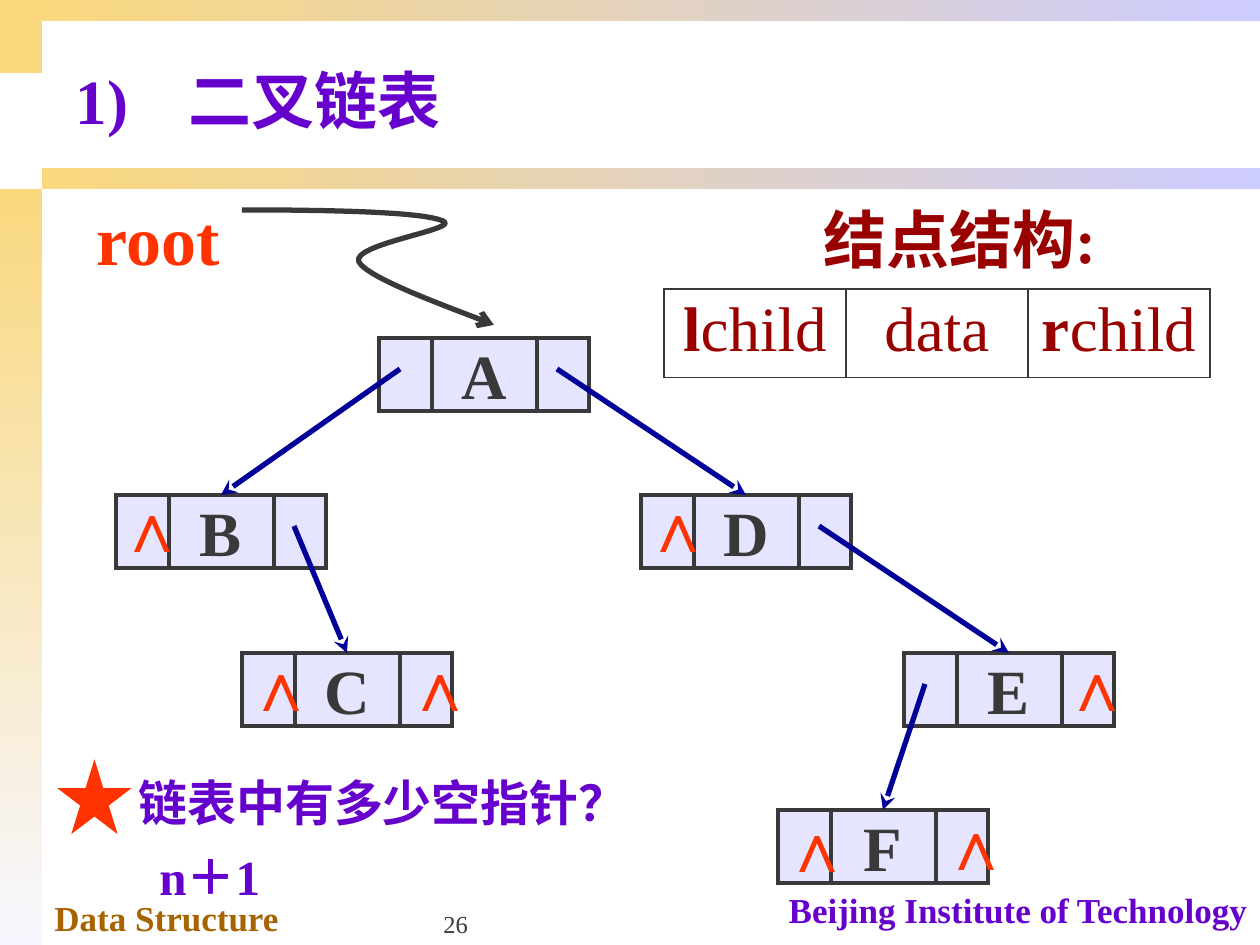
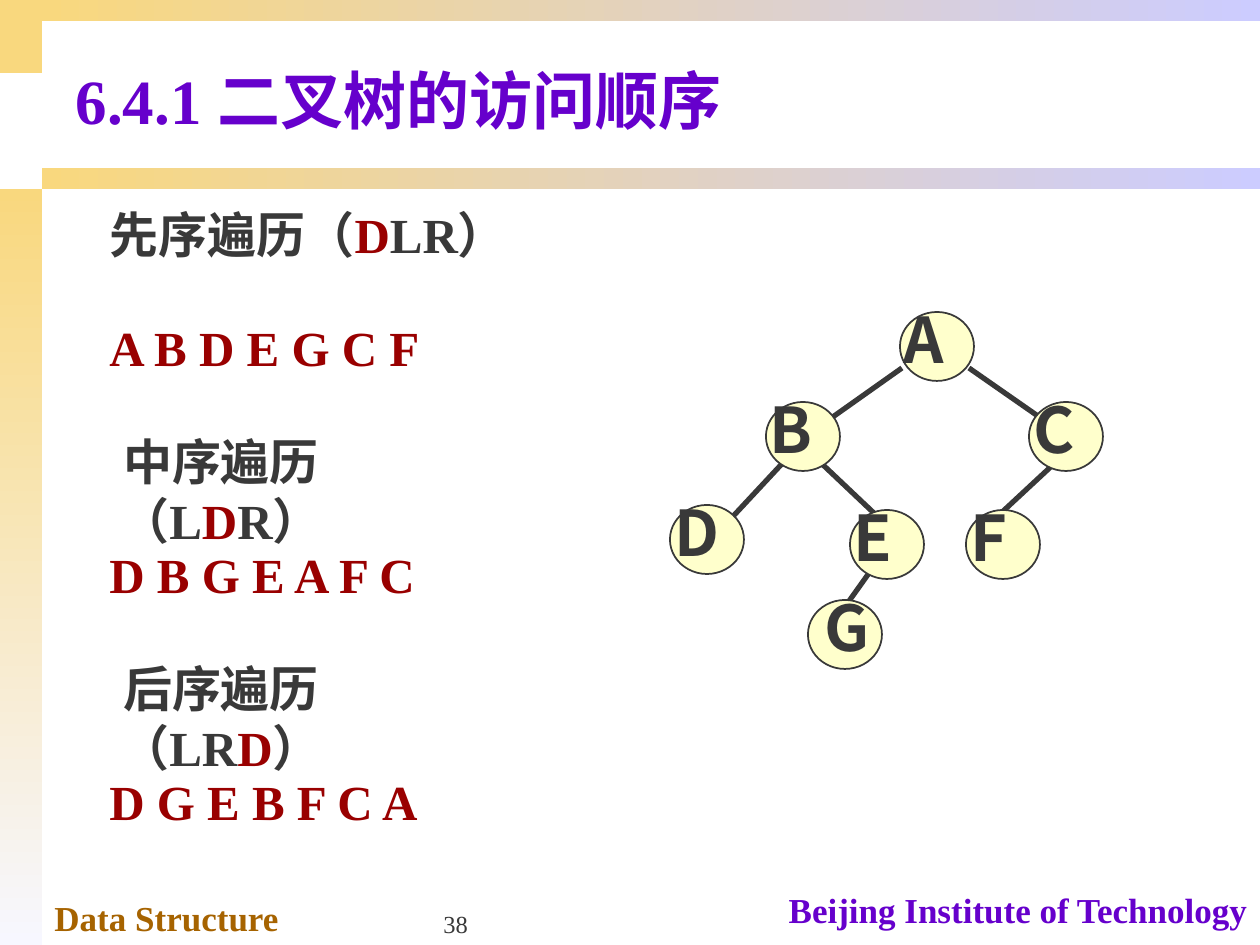
from lxml.etree import SubElement
from pptx import Presentation
from pptx.dml.color import RGBColor
from pptx.enum.shapes import MSO_CONNECTOR, MSO_SHAPE as SHAPE
from pptx.enum.text import MSO_ANCHOR as ANCHOR, MSO_AUTO_SIZE as AUTO, PP_ALIGN as ALIGN
from pptx.oxml import parse_xml
from pptx.oxml.ns import nsdecls, qn
from pptx.util import Inches, Pt

PX = 7257
SERIF, SANS = "Times New Roman", "Noto Sans CJK SC"
INK, PURPLE, RED, MAROON = "393939", "6600CC", "FF3300", "990000"
GOLD, LILAC, NAVY = "F9D87E", "CCCCFF", "000099"
hex_color = RGBColor.from_string


def write(frame, pieces, size, color, align=ALIGN.LEFT, bold=True, font=SERIF, wrap=True):
    frame.word_wrap = wrap
    paragraph = frame.paragraphs[0]
    paragraph.alignment = align
    paragraph.font.name = font
    paragraph.font.size = Pt(size)
    paragraph.font.bold = bold
    paragraph.font.color.rgb = hex_color(color)
    for piece in pieces:
        paragraph.add_run().text = piece
    return paragraph


def draw_line(slide, start, end, color, width, arrow=None):
    ends = [n * PX for n in (*start, *end)]
    line = slide.shapes.add_connector(MSO_CONNECTOR.STRAIGHT, *ends)
    line.line.color.rgb = hex_color(color)
    line.line.width = Pt(width)
    if arrow:
        SubElement(line.line._get_or_add_ln(), qn("a:tailEnd"), type=arrow)
    SubElement(line._element.spPr, qn("a:effectLst"))
    return line


deck = Presentation()
deck.slide_width, deck.slide_height = Inches(10), Inches(7.5)
layout = deck.slide_layouts[5]
storage = deck.slides.add_slide(layout)
traversal = deck.slides.add_slide(layout)

bands = [
    ((0, 0, 42, 73), GOLD, GOLD, 0),
    ((0, 189, 42, 756), GOLD, "F7F7FF", 270),
    ((42, 168, 1218, 21), GOLD, LILAC, 0),
    ((42, 0, 1218, 21), GOLD, LILAC, 0),
]
for box, first, last, angle in bands:
    band = storage.shapes.add_shape(SHAPE.RECTANGLE, *[n * PX for n in box])
    band.shadow.inherit = False
    band.line.fill.background()
    if first == last:
        band.fill.solid()
        band.fill.fore_color.rgb = hex_color(first)
    else:
        band.fill.gradient()
        band.fill.gradient_angle = angle
        for stop, color in zip(band.fill.gradient_stops, (first, last)):
            stop.color.rgb = hex_color(color)
    layout.shapes.element.append(band.element)

footers = [
    ((42, 890, 441, 54), "Data Structure", "A66300", ALIGN.LEFT),
    ((766, 882, 494, 54), "Beijing Institute of Technology", PURPLE, ALIGN.RIGHT),
]
for box, words, color, align in footers:
    footer = storage.shapes.add_textbox(*[n * PX for n in box])
    write(footer.text_frame, [words], 20, color, align)
    layout.shapes.element.append(footer.element)

headings = [(storage, "1)\t二叉链表", "26"), (traversal, "6.4.1 二叉树的访问顺序", "38")]
for slide, heading, number in headings:
    title = slide.shapes.title
    title.left, title.top, title.width, title.height = [n * PX for n in (63, 32, 1197, 134)]
    title.text_frame.vertical_anchor = ANCHOR.MIDDLE
    heading_line = write(title.text_frame, [heading], 36, PURPLE)
    if "\t" in heading:
        heading_line._p.get_or_add_pPr().insert(0, parse_xml(
            f'<a:tabLst {nsdecls("a")}><a:tab pos="{113 * PX}" algn="l"/></a:tabLst>'))
    page = slide.shapes.add_textbox(*[n * PX for n in (431, 882, 262, 63)])
    page.text_frame.vertical_anchor = ANCHOR.BOTTOM
    write(page.text_frame, [number], 14, INK, bold=False)

NODE_W, NODE_H, LEFT_WALL, RIGHT_WALL = 210, 73, 53, 158
nodes = {
    "A": (379, 338, []),
    "F": (778, 810, [(770, 796), (929, 794)]),
    "D": (641, 495, [(631, 476)]),
    "E": (904, 653, [(1050, 635)]),
    "C": (242, 653, [(234, 635), (393, 635)]),
    "B": (116, 495, [(105, 476)]),
}
records = {}
for name, (x, y, nulls) in nodes.items():
    record = storage.shapes.add_shape(
        SHAPE.RECTANGLE, *[n * PX for n in (x, y, NODE_W, NODE_H)])
    record.shadow.inherit = False
    record.fill.solid()
    record.fill.fore_color.rgb = hex_color(LILAC)
    tint = record._element.spPr.find(qn("a:solidFill")).find(qn("a:srgbClr"))
    SubElement(tint, qn("a:alpha"), val="50000")
    record.line.color.rgb = hex_color(INK)
    record.line.width = Pt(2)
    SubElement(record.line._get_or_add_ln(), qn("a:miter"), lim="800000")
    record.text_frame.vertical_anchor = ANCHOR.MIDDLE
    write(record.text_frame, [name], 36, INK, ALIGN.CENTER, wrap=False)
    records[name] = record
    for wall in (LEFT_WALL, RIGHT_WALL):
        draw_line(storage, (x + wall, y), (x + wall, y + NODE_H), INK, 2.25)
    for spot in nulls:
        null = storage.shapes.add_textbox(*[n * PX for n in (*spot, 68, 97)])
        null.text_frame.auto_size = AUTO.SHAPE_TO_FIT_TEXT
        write(null.text_frame, ["∧"], 40, RED, wrap=False)

LEFT_FIELD, RIGHT_FIELD = 21, 178
links = [("A", LEFT_FIELD, "B"), ("A", RIGHT_FIELD, "D"), ("B", RIGHT_FIELD, "C"),
         ("D", RIGHT_FIELD, "E"), ("E", LEFT_FIELD, "F")]
for parent, field, child in links:
    start = (nodes[parent][0] + field, nodes[parent][1] + 31)
    end = (nodes[child][0] + NODE_W // 2, nodes[child][1])
    pointer = draw_line(storage, start, end, NAVY, 3, "stealth")
    pointer.end_connect(records[child], 0)

captions = [
    ((84, 189, 150, 97), "root", 40, RED, False),
    ((811, 194, 299, 88), "结点结构:", 36, MAROON, False),
    ((126, 766, 504, 72), "链表中有多少空指针？", 28, PURPLE, True),
    ((147, 840, 158, 72), "n＋1", 28, PURPLE, True),
]
for box, words, size, color, wrap in captions:
    caption = storage.shapes.add_textbox(*[n * PX for n in box])
    caption.text_frame.auto_size = AUTO.SHAPE_TO_FIT_TEXT
    write(caption.text_frame, [words], size, color, wrap=wrap)

structure = storage.shapes.add_table(1, 3, *[n * PX for n in (664, 289, 546, 88)]).table
structure.first_row = structure.horz_banding = False
for cell, pieces in zip(structure.rows[0].cells, (["l", "child"], ["data"], ["r", "child"])):
    for side in ("a:lnL", "a:lnR", "a:lnT", "a:lnB"):
        border = SubElement(cell._tc.get_or_add_tcPr(), qn(side), w=str(Pt(1)))
        SubElement(SubElement(border, qn("a:solidFill")), qn("a:srgbClr"), val=INK)
    cell.fill.background()
    field = write(cell.text_frame, pieces, 36, MAROON, ALIGN.CENTER, bold=False)
    if len(pieces) > 1:
        field.runs[0].font.bold = True

bends = [
    ((242, 210), (333, 210), (423, 212), (443, 221)),
    ((443, 221), (463, 229), (350, 244), (359, 262)),
    ((359, 262), (368, 280), (471, 315), (494, 325)),
]
STEPS = 16
trail = []
for bend in bends:
    for step in range(1, STEPS + 1):
        t = step / STEPS
        weights = ((1 - t) ** 3, 3 * t * (1 - t) ** 2, 3 * t * t * (1 - t), t ** 3)
        trail.append([PX * sum(w * p[axis] for w, p in zip(weights, bend)) for axis in (0, 1)])
builder = storage.shapes.build_freeform(242 * PX, 210 * PX)
builder.add_line_segments(trail, close=False)
root_arrow = builder.convert_to_shape()
root_arrow.shadow.inherit = False
root_arrow.fill.background()
root_arrow.line.color.rgb = hex_color(INK)
root_arrow.line.width = Pt(3)
SubElement(root_arrow.line._get_or_add_ln(), qn("a:tailEnd"), type="arrow")

star = storage.shapes.add_shape(SHAPE.STAR_5_POINT, *[n * PX for n in (63, 766, 63, 63)])
star.shadow.inherit = False
star.fill.solid()
star.fill.fore_color.rgb = star.line.color.rgb = hex_color(RED)
star.line.width = Pt(2.25)
SubElement(star.line._get_or_add_ln(), qn("a:miter"), lim="800000")

orders = [
    (["先序遍历（", "D", "LR）"], "A B D E G C F", 564, ALIGN.LEFT, 13, 13),
    (["中序遍历（L", "D", "R）"], "D B G E A F C", 425, ALIGN.CENTER, 5, 182),
    (["后序遍历（LR", "D", "）"], "D G E B F C A", 425, ALIGN.CENTER, 5, 182),
]
for row, (pieces, visits, width, align, left_margin, right_margin) in enumerate(orders):
    top = 198 + 227 * row
    order = traversal.shapes.add_textbox(*[n * PX for n in (97, top, width, 72)])
    order.text_frame.margin_left = left_margin * PX
    order.text_frame.margin_right = right_margin * PX
    rule = write(order.text_frame, pieces, 28, INK, align)
    rule.runs[1].font.color.rgb = hex_color(MAROON)
    sequence = traversal.shapes.add_textbox(*[n * PX for n in (97, top + 113, 425, 72)])
    write(sequence.text_frame, [visits], 28, MAROON)

branches = [
    ((877, 562), (842, 611)), ((902, 368), (813, 431)), ((969, 368), (1058, 430)),
    ((820, 462), (876, 515)), ((1056, 462), (999, 515)), ((793, 452), (725, 525)),
]
for start, end in branches:
    draw_line(traversal, start, end, INK, 3)

tree = {"G": (808, 600), "A": (900, 312), "F": (966, 510), "E": (850, 510),
        "D": (670, 505), "C": (1029, 402), "B": (766, 402)}
for name, (x, y) in tree.items():
    circle = traversal.shapes.add_shape(SHAPE.OVAL, *[n * PX for n in (x, y, 74, 69)])
    circle.shadow.inherit = False
    circle.fill.solid()
    circle.fill.fore_color.rgb = hex_color("FFFFCC")
    circle.line.color.rgb = hex_color(INK)
    circle.line.width = Pt(1)
    shift, width, align, indent = (
        (-41, 159, ALIGN.CENTER, 13) if name == "G" else (-20, 134, ALIGN.LEFT, 24))
    label = traversal.shapes.add_textbox(*[n * PX for n in (x + shift, y - 18, width, 88)])
    label.text_frame.margin_left = indent * PX
    write(label.text_frame, [name], 36, INK, align, font=SANS)

deck.save("out.pptx")
